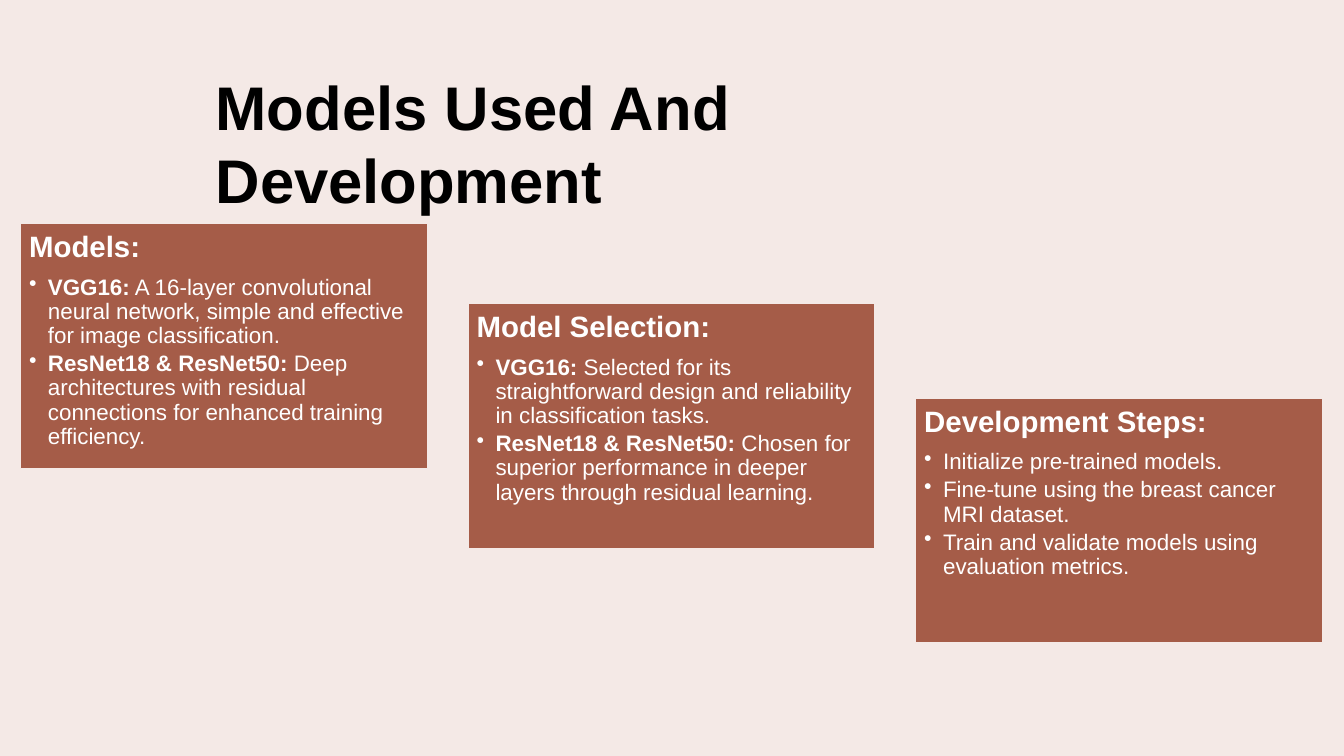
import pptx
import pptx.util
import pptx.dml.color
import pptx.enum.shapes
import pptx.enum.text
import lxml.etree

Pt = pptx.util.Pt

# Content: card top, heading, then (bold lead, text) bullets
TITLE = "Models Used And Development"
CARDS = [
    (159.8, "Models:", [
        ("VGG16:", " A 16-layer convolutional neural network, simple and effective for image classification."),
        ("ResNet18 & ResNet50:", " Deep architectures with residual connections for enhanced training efficiency."),
    ]),
    (216.9, "Model Selection:", [
        ("VGG16:", " Selected for its straightforward design and reliability in classification tasks."),
        ("ResNet18 & ResNet50:", " Chosen for superior performance in deeper layers through residual learning."),
    ]),
    (284.4, "Development Steps:", [
        ("", "Initialize pre-trained models."),
        ("", "Fine-tune using the breast cancer MRI dataset."),
        ("", "Train and validate models using evaluation metrics."),
    ]),
]

# Layout and colours
SLIDE_SIZE = (960, 540)
TITLE_BOX = (146.9, 45.4, 666, 60.5)
CARD_LEFT, CARD_PITCH = 14.5, 319.7
CARD_WIDTH, CARD_HEIGHT, CARD_INSET = 290.9, 175, 6.3
BULLET_INDENT = 13.5
BACKGROUND, CARD_FILL, WHITE, BLACK = "F4E9E6", "A55C48", "FFFFFF", "000000"


def color(hex_code):
    return pptx.dml.color.RGBColor.from_string(hex_code)


def add_text(paragraph, text, size=16, bold=False, fill=WHITE):
    run = paragraph.add_run()
    run.text = text
    run.font.name = "Arial"
    run.font.size = Pt(size)
    run.font.bold = bold
    run.font.color.rgb = color(fill)


def set_spacing(paragraph, after):
    paragraph.alignment = pptx.enum.text.PP_ALIGN.LEFT
    paragraph.line_spacing = 0.9
    paragraph.space_after = Pt(after)


def set_bullet(paragraph):
    paragraph.level = 1
    properties = paragraph._p.get_or_add_pPr()
    properties.set("marL", str(Pt(BULLET_INDENT)))
    properties.set("indent", str(-Pt(BULLET_INDENT)))
    bullet = lxml.etree.SubElement(properties, pptx.oxml.ns.qn("a:buChar"))
    bullet.set("char", "•")


def add_card(slide, left, top, heading, bullets):
    card = slide.shapes.add_shape(
        pptx.enum.shapes.MSO_SHAPE.RECTANGLE,
        Pt(left), Pt(top), Pt(CARD_WIDTH), Pt(CARD_HEIGHT))
    card.shadow.inherit = False
    card.fill.solid()
    card.fill.fore_color.rgb = color(CARD_FILL)
    card.line.color.rgb = color(BACKGROUND)
    card.line.width = Pt(1)

    frame = card.text_frame
    frame.word_wrap = True
    frame.vertical_anchor = pptx.enum.text.MSO_ANCHOR.TOP
    frame.margin_left = frame.margin_right = Pt(CARD_INSET)
    frame.margin_top = frame.margin_bottom = Pt(CARD_INSET)

    paragraph = frame.paragraphs[0]
    set_spacing(paragraph, after=8.4)
    add_text(paragraph, heading, size=21, bold=True)
    for lead, text in bullets:
        paragraph = frame.add_paragraph()
        set_spacing(paragraph, after=2.8)
        set_bullet(paragraph)
        if lead:
            add_text(paragraph, lead, bold=True)
        add_text(paragraph, text)


def main():
    presentation = pptx.Presentation()
    presentation.slide_width, presentation.slide_height = map(Pt, SLIDE_SIZE)
    slide = presentation.slides.add_slide(presentation.slide_layouts[6])
    slide.background.fill.solid()
    slide.background.fill.fore_color.rgb = color(BACKGROUND)

    # Title
    title = slide.shapes.add_textbox(*map(Pt, TITLE_BOX))
    title.text_frame.word_wrap = True
    title.text_frame.auto_size = pptx.enum.text.MSO_AUTO_SIZE.SHAPE_TO_FIT_TEXT
    add_text(title.text_frame.paragraphs[0], TITLE, size=44, bold=True, fill=BLACK)

    # Descending cards
    for index, (top, heading, bullets) in enumerate(CARDS):
        add_card(slide, CARD_LEFT + index * CARD_PITCH, top, heading, bullets)

    presentation.save("out.pptx")


if __name__ == "__main__":
    main()
